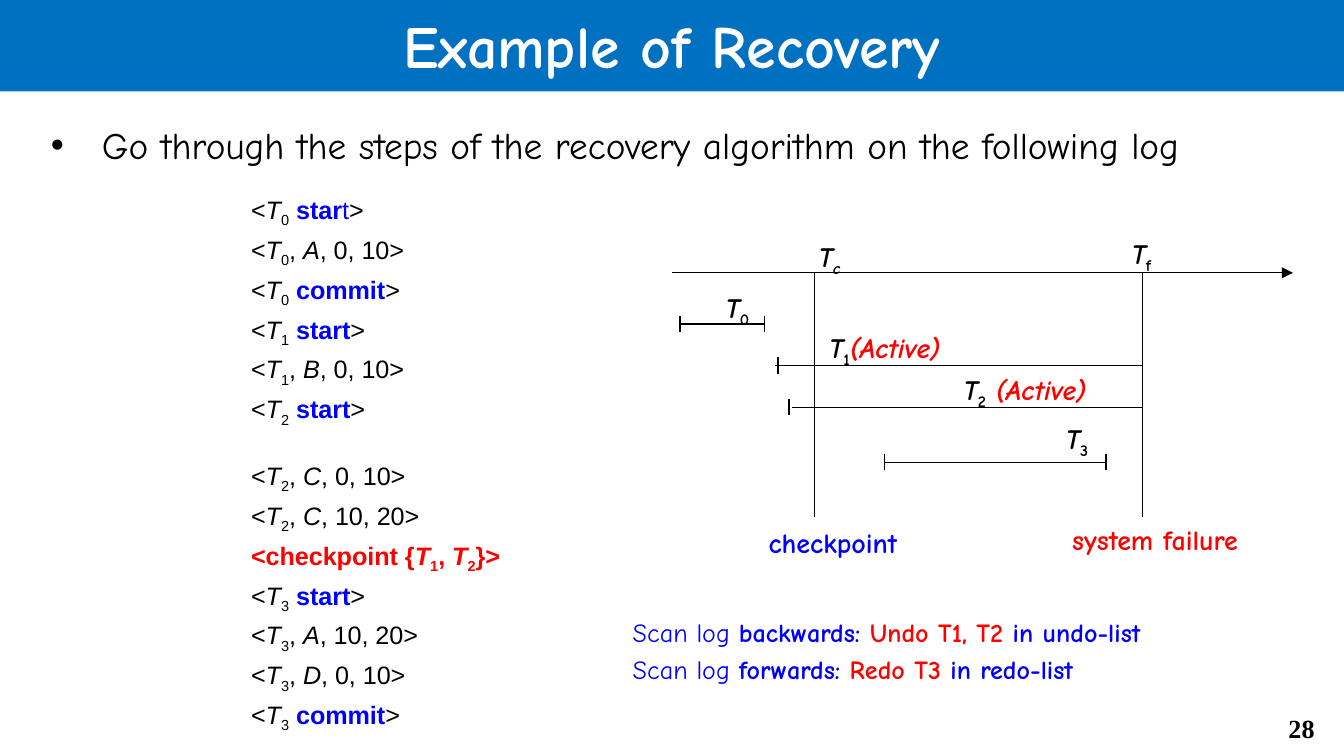
import lxml.etree
import pptx
import pptx.dml.color
import pptx.enum.shapes
import pptx.enum.text
import pptx.oxml.ns
import pptx.util

Inches = pptx.util.Inches
Pt = pptx.util.Pt
ALIGN = pptx.enum.text.PP_ALIGN
HAND = "Comic Neue"
BLACK, BLUE, RED, WHITE = "000000", "0000FF", "FF0000", "FFFFFF"


def color(value):
    return pptx.dml.color.RGBColor.from_string(value)


def add_xml(parent, tag, **attributes):
    name = pptx.oxml.ns.qn(tag)
    return lxml.etree.SubElement(parent, name, attributes)


def set_indent(para, margin, indent):
    properties = para._p.get_or_add_pPr()
    properties.set("marL", str(Inches(margin)))
    properties.set("indent", str(Inches(indent)))
    return properties


def add_span(para, text, size, font=HAND, ink=BLACK, bold=False, italic=False, sub=False):
    span = para.add_run()
    span.text = text
    span.font.size = Pt(size)
    span.font.name = font
    span.font.bold = bold
    span.font.italic = italic
    span.font.color.rgb = color(ink)
    if sub:
        span._r.get_or_add_rPr().set("baseline", "-25000")


def add_text(page, box, paragraphs, size, font=HAND, align=ALIGN.LEFT, wrap=True):
    frame = page.shapes.add_textbox(*map(Inches, box)).text_frame
    frame.word_wrap = wrap
    for index, spans in enumerate(paragraphs):
        para = frame.add_paragraph() if index else frame.paragraphs[0]
        para.alignment = align
        for text, style in spans:
            add_span(para, text, size, font, **style)
    return frame


def add_line(page, x1, y1, x2, y2, arrow=False):
    line = page.shapes.add_connector(
        pptx.enum.shapes.MSO_CONNECTOR.STRAIGHT, *map(Inches, (x1, y1, x2, y2)))
    line.line.color.rgb = color(BLACK)
    line.line.width = Pt(0.75)
    if arrow:
        add_xml(line.line._get_or_add_ln(), "a:tailEnd", type="triangle")
    add_xml(line._element.spPr, "a:effectLst")


def transaction(number, bold=False, ink=BLACK):
    look = {"bold": bold, "ink": ink}
    return [("T", {"italic": True, **look}), (number, {"sub": True, **look})]


def action(number, word, ending=""):
    spans = [("<", {}), *transaction(number), (" ", {}), (word, {"bold": True, "ink": BLUE})]
    if ending:
        spans.append((ending, {"ink": BLUE}))
    return spans + [(">", {})]


def update(number, item, old, new):
    return [("<", {}), *transaction(number), (", ", {}), (item, {"italic": True}),
            (f", {old}, {new}>", {})]


def checkpoint(first, second):
    strong = {"bold": True, "ink": RED}
    return [("<checkpoint {", strong), *transaction(first, **strong), (", ", strong),
            *transaction(second, **strong), ("}>", strong)]


def add_title(page, box, text):
    title = page.shapes.title
    title.left, title.top, title.width, title.height = map(Inches, box)
    title.fill.solid()
    title.fill.fore_color.rgb = color("0070C0")
    title.text_frame.vertical_anchor = pptx.enum.text.MSO_ANCHOR.MIDDLE
    para = title.text_frame.paragraphs[0]
    para.alignment = ALIGN.CENTER
    add_span(para, text, 32, ink=WHITE, bold=True)


def add_task(page, box, text):
    para = add_text(page, box, [[(text, {})]], 20).paragraphs[0]
    para.space_before = Pt(4)
    properties = set_indent(para, 0.38, -0.38)
    add_xml(properties, "a:buFont", typeface="Arial")
    add_xml(properties, "a:buChar", char="•")


def add_log(page, box):
    before = [action("0", "star", "t"), update("0", "A", 0, 10), action("0", "commit"),
              action("1", "start"), update("1", "B", 0, 10), action("2", "start")]
    after = [update("2", "C", 0, 10), update("2", "C", 10, 20), checkpoint("1", "2"),
             action("3", "start"), update("3", "A", 10, 20), update("3", "D", 0, 10),
             action("3", "commit")]
    frame = add_text(page, box, before + after, 13.5, "Arial")
    frame.margin_top = Inches(0.08)
    for index, para in enumerate(frame.paragraphs):
        set_indent(para, 1.45, -0.19)
        para.line_spacing = Pt(16)
        para.space_before = Pt(5.35 if index else 0)
    frame.paragraphs[len(before)].space_before = Pt(19.8)


def add_timeline(page, box):
    left, top, width, height = box
    check, failure = left + 1.06, left + 3.5
    add_line(page, left, top, left + width, top, arrow=True)
    for x in (check, failure):
        add_line(page, x, top, x, top + height)

    bars = [(0.06, 0.69, 0.38, (0.06, 0.69)), (0.77, 3.5, 0.69, (0.79,)),
            (0.89, 3.5, 1, (0.87,)), (1.58, 3.23, 1.41, (1.58, 3.23))]
    for start, end, y, ticks in bars:
        add_line(page, left + start, top + y, left + end, top + y)
        for x in ticks:
            add_line(page, left + x, top + y - 0.06, left + x, top + y + 0.06)

    active = {"ink": RED, "bold": True, "italic": True}
    name = {"bold": True, "italic": True}
    labels = [
        (0.99, -0.3, 0.42, [("T", name), ("c", {"sub": True, **name})]),
        (3.32, -0.32, 0.42, transaction("f", bold=True)),
        (0.3, 0.08, 0.43, transaction("0", bold=True)),
        (1.07, 0.38, 1.4, transaction("1", bold=True) + [("(Active)", active)]),
        (2.07, 0.69, 1.32, transaction("2", bold=True) + [(" (Active)", active)]),
        (2.83, 1.06, 0.43, transaction("3", bold=True)),
        (0.62, 1.83, 1.26, [("checkpoint", {"ink": BLUE, "bold": True})]),
        (2.88, 1.81, 1.66, [("system failure", {"ink": RED, "bold": True})]),
    ]
    for x, y, label_width, spans in labels:
        add_text(page, (left + x, top + y, label_width, 0.35), [spans], 15, wrap=False)


def add_scans(page, box):
    steps = [("backwards: ", "Undo T1, T2 ", "in undo-list"),
             ("forwards: ", "Redo T3 ", "in redo-list")]
    paragraphs = [[("Scan log ", {"ink": BLUE}), (direction, {"ink": BLUE, "bold": True}),
                   (work, {"ink": RED, "bold": True}), (place, {"ink": BLUE, "bold": True})]
                  for direction, work, place in steps]
    for para in add_text(page, box, paragraphs, 14).paragraphs:
        para.space_before = Pt(2.8)


def add_page_number(page, box, number):
    add_text(page, box, [[(number, {"bold": True})]], 14, "Times New Roman", ALIGN.RIGHT)


def main():
    deck = pptx.Presentation()
    deck.slide_width = Inches(10)
    deck.slide_height = deck.slide_width * 9 // 16
    page = deck.slides.add_slide(deck.slide_layouts[5])
    add_title(page, (0, -0.02, 10, 0.7), "Example of Recovery")
    add_task(page, (0.28, 0.86, 9.37, 4.16),
             "Go through the steps of the recovery algorithm on the following log")
    add_log(page, (0.51, 1.4, 4, 3.79))
    add_timeline(page, (5, 2.03, 4.62, 1.82))
    add_scans(page, (4.61, 4.54, 5.04, 0.62))
    add_page_number(page, (9.25, 5.25, 0.63, 0.34), "28")
    deck.save("out.pptx")


if __name__ == "__main__":
    main()
